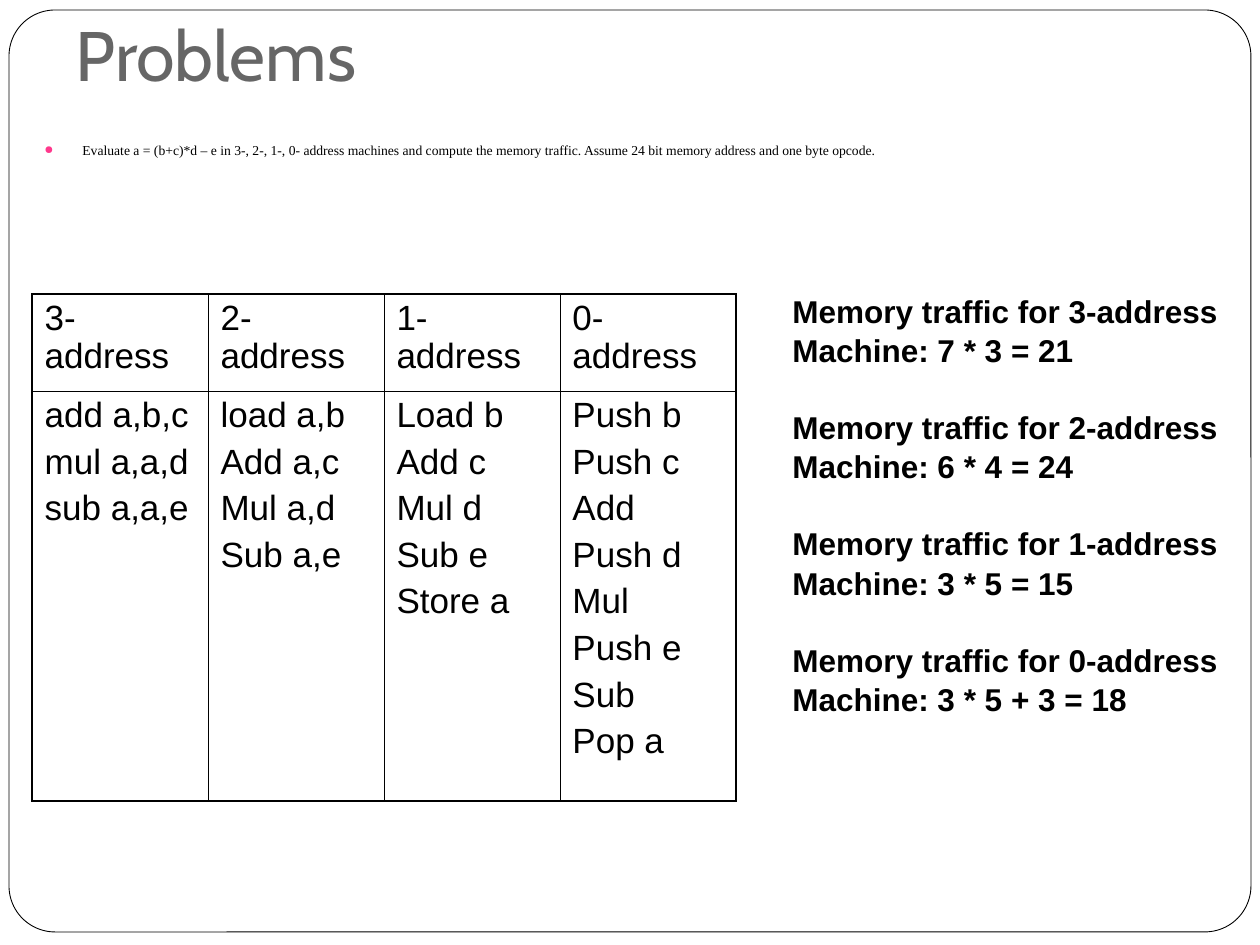
from lxml import etree
from pptx import Presentation
from pptx import util as u
from pptx.dml import color
from pptx.enum import shapes, text
from pptx.oxml import ns

PX = 7257  # EMU per px, 126 px to the inch


def rgb(value):
    return color.RGBColor.from_string(value)


def write(frame, lines, size=20, font="Arial", ink="000000", bold=False,
          gap=0, every=1, spacing=None):
    """Fill a text frame; `gap` points precede each group of `every` lines."""
    frame.word_wrap = True
    for index, line in enumerate(lines):
        para = frame.paragraphs[0] if index == 0 else frame.add_paragraph()
        para.alignment = text.PP_ALIGN.LEFT
        if spacing:
            para.line_spacing = spacing
        if index and index % every == 0:
            para.space_before = u.Pt(gap)
        span = para.add_run()
        span.text = line
        span.font.size = u.Pt(size)
        span.font.name = font
        span.font.bold = bold
        span.font.color.rgb = rgb(ink)


deck = Presentation()
deck.slide_width = 1260 * PX
deck.slide_height = 945 * PX
page = deck.slides.add_slide(deck.slide_layouts[5])

# Rounded frame, behind everything
frame = page.shapes.add_shape(shapes.MSO_SHAPE.ROUNDED_RECTANGLE,
                              9 * PX, 10 * PX, 1242 * PX, 922 * PX)
frame.adjustments[0] = 0.05
frame.shadow.inherit = False
frame.fill.solid()
frame.fill.fore_color.rgb = rgb("FFFFFF")
frame.line.color.rgb = rgb("000000")
frame.line.width = u.Pt(0.5)
page.shapes._spTree.insert(2, frame._element)

# Title
title = page.shapes.title
title.left, title.top, title.width, title.height = (
    63 * PX, 10 * PX, 1134 * PX, 98 * PX)
title.text_frame.auto_size = text.MSO_AUTO_SIZE.NONE
title.text_frame.vertical_anchor = text.MSO_ANCHOR.BOTTOM
title.text_frame.margin_bottom = 13 * PX
write(title.text_frame, ["Problems"], size=40, font="Cabin", ink="666666")

# Bulleted question
question = page.shapes.add_textbox(32 * PX, 136 * PX, 1166 * PX, 42 * PX)
write(question.text_frame,
      ["Evaluate a = (b+c)*d – e in 3-, 2-, 1-, 0- address machines and compute "
       "the memory traffic. Assume 24 bit memory address and one byte opcode."],
      size=7.8, font="Times New Roman")
props = question.text_frame.paragraphs[0]._p.get_or_add_pPr()
props.set("marL", str(38 * PX))
props.set("indent", str(-38 * PX))
bullet_color = etree.SubElement(props, ns.qn("a:buClr"))
etree.SubElement(bullet_color, ns.qn("a:srgbClr"), val="FF388C")
etree.SubElement(props, ns.qn("a:buSzPct"), val="85000")
etree.SubElement(props, ns.qn("a:buChar"), char="●")

# Instruction table: one column per machine
machines = {
    "3-address": ["add a,b,c", "mul a,a,d", "sub a,a,e"],
    "2-address": ["load a,b", "Add a,c", "Mul a,d", "Sub a,e"],
    "1-address": ["Load b", "Add c", "Mul d", "Sub e", "Store a"],
    "0-address": ["Push b", "Push c", "Add", "Push d", "Mul", "Push e",
                  "Sub", "Pop a"],
}
last = len(machines) - 1
table = page.shapes.add_table(2, len(machines), 32 * PX, 294 * PX,
                              704 * PX, 507 * PX).table
table.first_row = False
table.horz_banding = False
table.rows[0].height = 97 * PX
table.rows[1].height = 410 * PX
for col, (machine, code) in enumerate(machines.items()):
    table.columns[col].width = 176 * PX
    for row, lines in enumerate([[machine], code]):
        cell = table.cell(row, col)
        write(cell.text_frame, lines, gap=5, spacing=0.97)
        # Thick outer borders, thin inner ones
        outer = {"L": col == 0, "R": col == last, "T": row == 0, "B": row == 1}
        for side, thick in outer.items():
            border = etree.SubElement(cell._tc.get_or_add_tcPr(),
                                      ns.qn(f"a:ln{side}"),
                                      w=str(u.Pt(1.08 if thick else 0.45)))
            fill = etree.SubElement(border, ns.qn("a:solidFill"))
            etree.SubElement(fill, ns.qn("a:srgbClr"), val="000000")
        cell.fill.background()

# Memory traffic results
traffic = ["7 * 3 = 21", "6 * 4 = 24", "3 * 5 = 15", "3 * 5 + 3 = 18"]
results = []
for machine, total in zip(machines, traffic):
    results += [f"Memory traffic for {machine}", f"Machine: {total}"]
box = page.shapes.add_textbox(780 * PX, 284 * PX, 459 * PX, 428 * PX)
write(box.text_frame, results, size=18, bold=True, gap=21.6, every=2,
      spacing=1.04)

deck.save("out.pptx")
